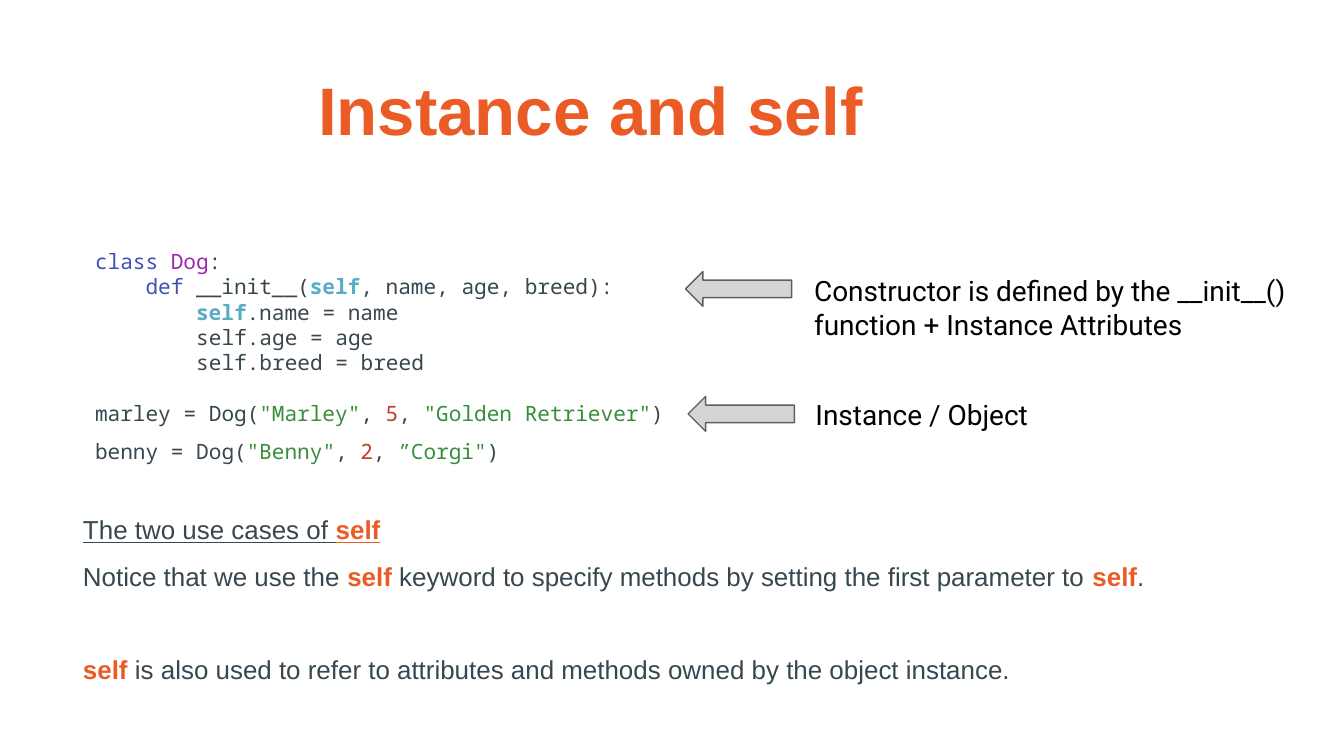
"""Build the slide that explains instances and self in a Python class."""
from dataclasses import dataclass

from pptx import Presentation
from pptx.dml.color import RGBColor
from pptx.enum.shapes import MSO_SHAPE as Shape
from pptx.enum.text import MSO_ANCHOR as Anchor
from pptx.util import Inches, Pt

COLORS = {
    "white": "FFFFFF", "black": "000000", "orange": "EA5B25", "slate": "37474F",
    "keyword": "3F51B5", "class": "9C27B0", "cyan": "58ADC5", "string": "388E3C",
    "number": "C53929", "arrow": "D5D5D5", "outline": "5E5E5E",
}
STYLES = {
    "title": {"name": "Arial", "size": Pt(36), "bold": True},
    "code": {"name": "Noto Sans Mono", "size": Pt(11.3)},
    "label": {"name": "Roboto", "size": Pt(15)},
    "body": {"name": "Arial", "size": Pt(13.9)},
}
MARGINS = ("margin_left", "margin_top", "margin_right", "margin_bottom")


@dataclass
class Span:
    text: str
    color: str = "slate"
    bold: bool = False
    underline: bool = False


@dataclass
class Line:
    spans: list[Span]
    spacing: float = 1.0
    before: float = 0


@dataclass
class Block:
    box: tuple[float, float, float, float]
    style: str
    lines: list[Line]


@dataclass
class Callout:
    arrow: tuple[float, float]
    label: Block


def rgb(name: str) -> RGBColor:
    return RGBColor.from_string(COLORS[name])


def call(variable: str, name: str, age: str, breed: str) -> list[Span]:
    return [Span(f"{variable} = Dog("), Span(name, "string"), Span(", "),
            Span(age, "number"), Span(", "), Span(breed, "string"), Span(")")]


def label(left: float, top: float, width: float, height: float, text: str) -> Block:
    return Block((left, top, width, height), "label", [Line([Span(text, "black")])])


def draw_span(p, span: Span, style: str) -> None:
    for i, text in enumerate(span.text.split("\n")):
        if i:
            p.add_line_break()
        r = p.add_run()
        r.text = text
        font = {"bold": span.bold, "underline": span.underline, **STYLES[style]}
        for key, value in font.items():
            setattr(r.font, key, value)
        r.font.color.rgb = rgb(span.color)


def draw_block(s, block: Block) -> None:
    tf = s.shapes.add_textbox(*map(Inches, block.box)).text_frame
    tf.word_wrap = True
    tf.vertical_anchor = Anchor.TOP
    for margin in MARGINS:
        setattr(tf, margin, Pt(2.7))
    for i, line in enumerate(block.lines):
        p = tf.add_paragraph() if i else tf.paragraphs[0]
        p.line_spacing = line.spacing
        p.space_before = Pt(line.before)
        for span in line.spans:
            draw_span(p, span, block.style)


def draw_callout(s, callout: Callout) -> None:
    left, top = callout.arrow
    sp = s.shapes.add_shape(Shape.LEFT_ARROW, Inches(left), Inches(top), Inches(0.79), Inches(0.26))
    sp.shadow.inherit = False
    sp.fill.solid()
    sp.fill.fore_color.rgb = rgb("arrow")
    sp.line.color.rgb = rgb("outline")
    sp.line.width = Pt(0.75)
    draw_block(s, callout.label)


SELF = Span("self", "orange", bold=True)
CODE_SELF = Span("self", "cyan", bold=True)

BLOCKS = [
    Block((2.33, 0.59, 4.58, 0.82), "title", [Line([Span("Instance and self", "orange")], 0.8)]),
    Block((0.67, 1.81, 4.44, 2.25), "code", [
        Line([Span("class ", "keyword"), Span("Dog", "class"), Span(":")]),
        Line([Span("    "), Span("def", "keyword"), Span(" __init__("), CODE_SELF,
              Span(", name, age, breed):")]),
        Line([Span("        "), CODE_SELF, Span(".name = name")]),
        Line([Span("        self.age = age")]),
        Line([Span("        self.breed = breed")]),
        Line(call("marley", '"Marley"', "5", '"Golden Retriever"'), before=13.5),
        Line(call("benny", '"Benny"', "2", '”Corgi"'), 1.5),
    ]),
    Block((0.58, 3.67, 8.95, 1.92), "body", [
        Line([Span("The two use cases of ", underline=True),
              Span("self", "orange", bold=True, underline=True)], 1.5),
        Line([Span("Notice that we use the "), SELF,
              Span(" keyword to specify methods by setting the first parameter to "),
              SELF, Span(".")], 1.5),
        Line([SELF, Span(" is also used to refer to attributes and methods owned by "
                         "the object instance.")], 1.5, before=24.9),
    ]),
]
CALLOUTS = [
    Callout((5.1, 2.02), label(6.02, 2, 3.9, 0.58, "Constructor is defined by the __init__()\n"
                               "function + Instance Attributes")),
    Callout((5.12, 2.95), label(6.03, 2.92, 1.71, 0.33, "Instance / Object")),
]


def main() -> None:
    prs = Presentation()
    prs.slide_width = Inches(10)
    prs.slide_height = Inches(10 * 9 / 16)
    s = prs.slides.add_slide(prs.slide_layouts[6])
    s.background.fill.solid()
    s.background.fill.fore_color.rgb = rgb("white")
    for block in BLOCKS:
        draw_block(s, block)
    for callout in CALLOUTS:
        draw_callout(s, callout)
    prs.save("out.pptx")


if __name__ == "__main__":
    main()
